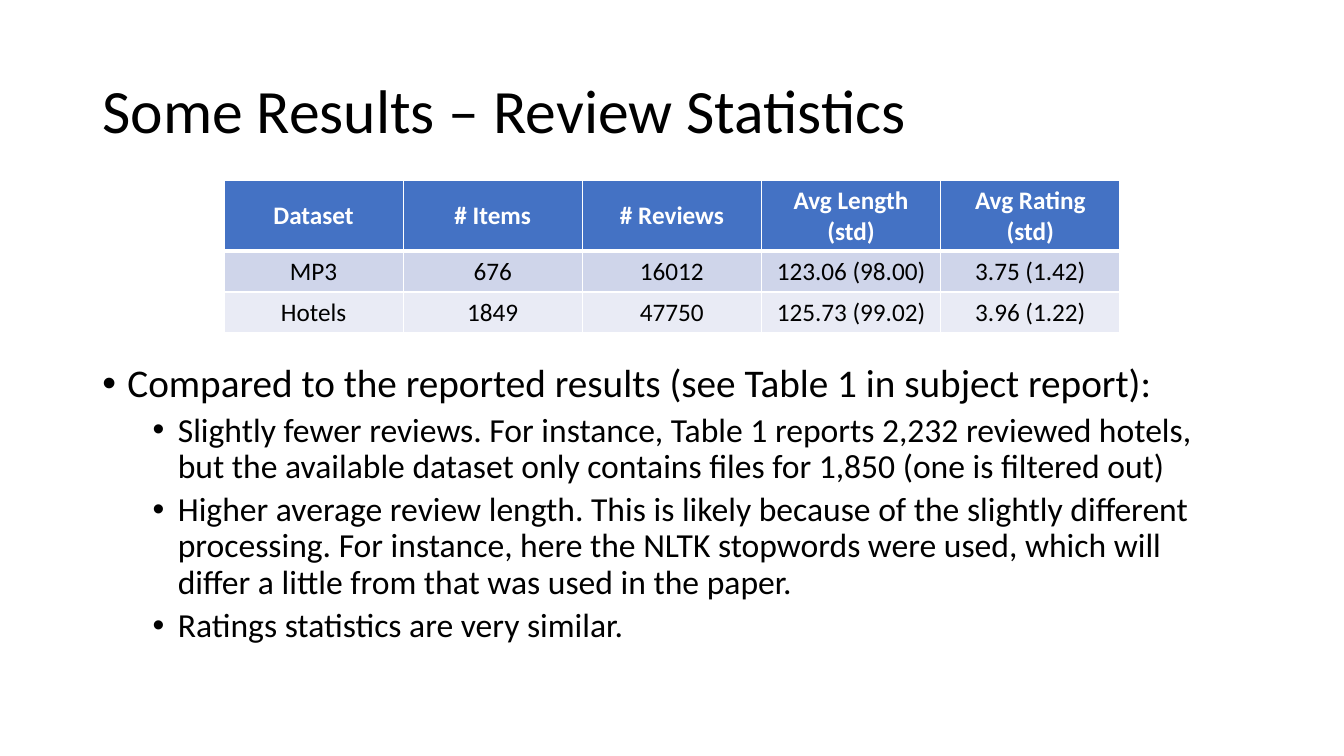
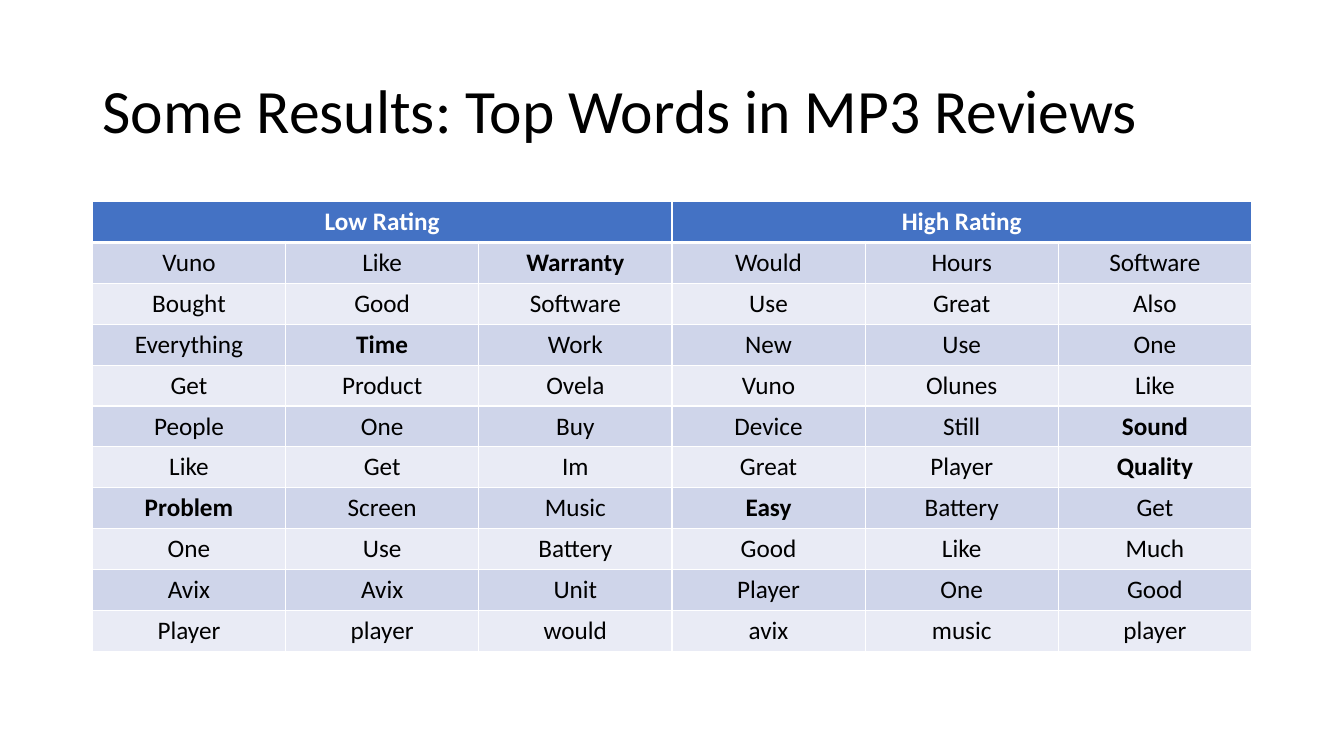
from lxml import etree
from pptx import Presentation
from pptx.dml.color import RGBColor
from pptx.enum import text as t
from pptx.oxml.ns import qn
from pptx.util import Pt

BLACK = RGBColor(0x00, 0x00, 0x00)
WHITE = RGBColor(0xFF, 0xFF, 0xFF)
BLUE = RGBColor(0x44, 0x72, 0xC4)
BANDS = RGBColor(0xCF, 0xD5, 0xEA), RGBColor(0xE9, 0xEB, 0xF5)

FACE = "Calibri"
LEFT, WIDE = 66, 828
ROW = 29.2
TITLE = (LEFT, 28.8, WIDE, 104.4)

STATS = [
    ["Dataset", "# Items", "# Reviews", "Avg Length (std)", "Avg Rating (std)"],
    ["MP3", "676", "16012", "123.06 (98.00)", "3.75 (1.42)"],
    ["Hotels", "1849", "47750", "125.73 (99.02)", "3.96 (1.22)"],
]
NOTES = [
    (0, "Compared to the reported results (see Table 1 in subject report):"),
    (1, "Slightly fewer reviews. For instance, Table 1 reports 2,232 reviewed hotels, "
        "but the available dataset only contains files for 1,850 (one is filtered out)"),
    (1, "Higher average review length. This is likely because of the slightly different "
        "processing. For instance, here the NLTK stopwords were used, which will differ "
        "a little from that was used in the paper."),
    (1, "Ratings statistics are very similar."),
]
LEVELS = [
    {"size": 28, "indent": 18, "before": 10},
    {"size": 24, "indent": 54, "before": 5},
]
WORDS = [
    ["Low Rating", "High Rating"],
    ["Vuno", "Like", "Warranty", "Would", "Hours", "Software"],
    ["Bought", "Good", "Software", "Use", "Great", "Also"],
    ["Everything", "Time", "Work", "New", "Use", "One"],
    ["Get", "Product", "Ovela", "Vuno", "Olunes", "Like"],
    ["People", "One", "Buy", "Device", "Still", "Sound"],
    ["Like", "Get", "Im", "Great", "Player", "Quality"],
    ["Problem", "Screen", "Music", "Easy", "Battery", "Get"],
    ["One", "Use", "Battery", "Good", "Like", "Much"],
    ["Avix", "Avix", "Unit", "Player", "One", "Good"],
    ["Player", "player", "would", "avix", "music", "player"],
]
STRONG = {"Warranty", "Time", "Sound", "Quality", "Problem", "Easy"}


def style(para, size, color=BLACK, bold=False, **form):
    for name, value in form.items():
        setattr(para, name, value)
    font = para.font
    for name, value in {"name": FACE, "size": Pt(size), "bold": bold}.items():
        setattr(font, name, value)
    font.color.rgb = color


def add_slide(deck, title):
    slide = deck.slides.add_slide(deck.slide_layouts[5])
    head = slide.shapes.title
    for name, value in zip(("left", "top", "width", "height"), TITLE):
        setattr(head, name, Pt(value))
    frame = head.text_frame
    frame.text = title
    frame.auto_size = t.MSO_AUTO_SIZE.NONE
    frame.vertical_anchor = t.MSO_ANCHOR.MIDDLE
    style(frame.paragraphs[0], 44, alignment=t.PP_ALIGN.LEFT, line_spacing=0.9)
    return slide


def add_notes(slide, box, notes):
    """Place a bulleted list; each note is a level and its text."""
    frame = slide.shapes.add_textbox(*map(Pt, box)).text_frame
    frame.word_wrap = True
    for i, (level, words) in enumerate(notes):
        para = frame.add_paragraph() if i else frame.paragraphs[0]
        para.text = words
        look = LEVELS[level]
        style(para, look["size"], level=level, line_spacing=0.9,
              space_before=Pt(look["before"]))
        props = para._p.get_or_add_pPr()
        props.set("marL", str(Pt(look["indent"])))
        props.set("indent", str(-Pt(18)))
        font = etree.Element(qn("a:buFont"), typeface="Arial")
        mark = etree.Element(qn("a:buChar"), char="•")
        at = props.find(qn("a:defRPr"))
        for item in (font, mark):
            at.addprevious(item)


def set_edges(cell, top, base):
    """Draw white borders, with the given top and bottom weights."""
    props = cell._tc.get_or_add_tcPr()
    edges = {"a:lnL": 1, "a:lnR": 1, "a:lnT": top, "a:lnB": base}
    for i, (tag, weight) in enumerate(edges.items()):
        line = etree.Element(qn(tag), w=str(Pt(weight)))
        fill = etree.SubElement(line, qn("a:solidFill"))
        etree.SubElement(fill, qn("a:srgbClr"), val=str(WHITE))
        props.insert(i, line)


def add_grid(slide, box, data, head=ROW, anchor=t.MSO_ANCHOR.TOP):
    """Place a banded table whose header cells share the columns equally."""
    count = len(data[-1])
    span = count // len(data[0])
    table = slide.shapes.add_table(len(data), count, *map(Pt, box)).table
    table.horz_banding = False
    for col in table.columns:
        col.width = Pt(box[2] / count)
    for r, row in enumerate(table.rows):
        row.height = Pt(ROW if r else head)
        for c, cell in enumerate(row.cells):
            cell.fill.solid()
            cell.fill.fore_color.rgb = BANDS[(r - 1) % 2] if r else BLUE
            cell.vertical_anchor = anchor
            set_edges(cell, 3 if r == 1 else 1, 1 if r else 3)
            if r == 0 and c % span:
                continue
            words = data[r][c] if r else data[0][c // span]
            cell.text = words
            style(cell.text_frame.paragraphs[0], 18, BLACK if r else WHITE,
                  r == 0 or words in STRONG, alignment=t.PP_ALIGN.CENTER)
    if span > 1:
        for c in range(0, count, span):
            table.cell(0, c).merge(table.cell(0, c + span - 1))


def main():
    deck = Presentation()
    deck.slide_width, deck.slide_height = Pt(960), Pt(540)

    slide = add_slide(deck, "Some Results – Review Statistics")
    add_notes(slide, (LEFT, 256.3, WIDE, 230.4), NOTES)
    add_grid(slide, (160, 129, 640, 108.8), STATS, 50.4, t.MSO_ANCHOR.MIDDLE)

    slide = add_slide(deck, "Some Results: Top Words in MP3 Reviews")
    add_grid(slide, (LEFT, 144, WIDE, ROW * len(WORDS)), WORDS)

    deck.save("out.pptx")


if __name__ == "__main__":
    main()
